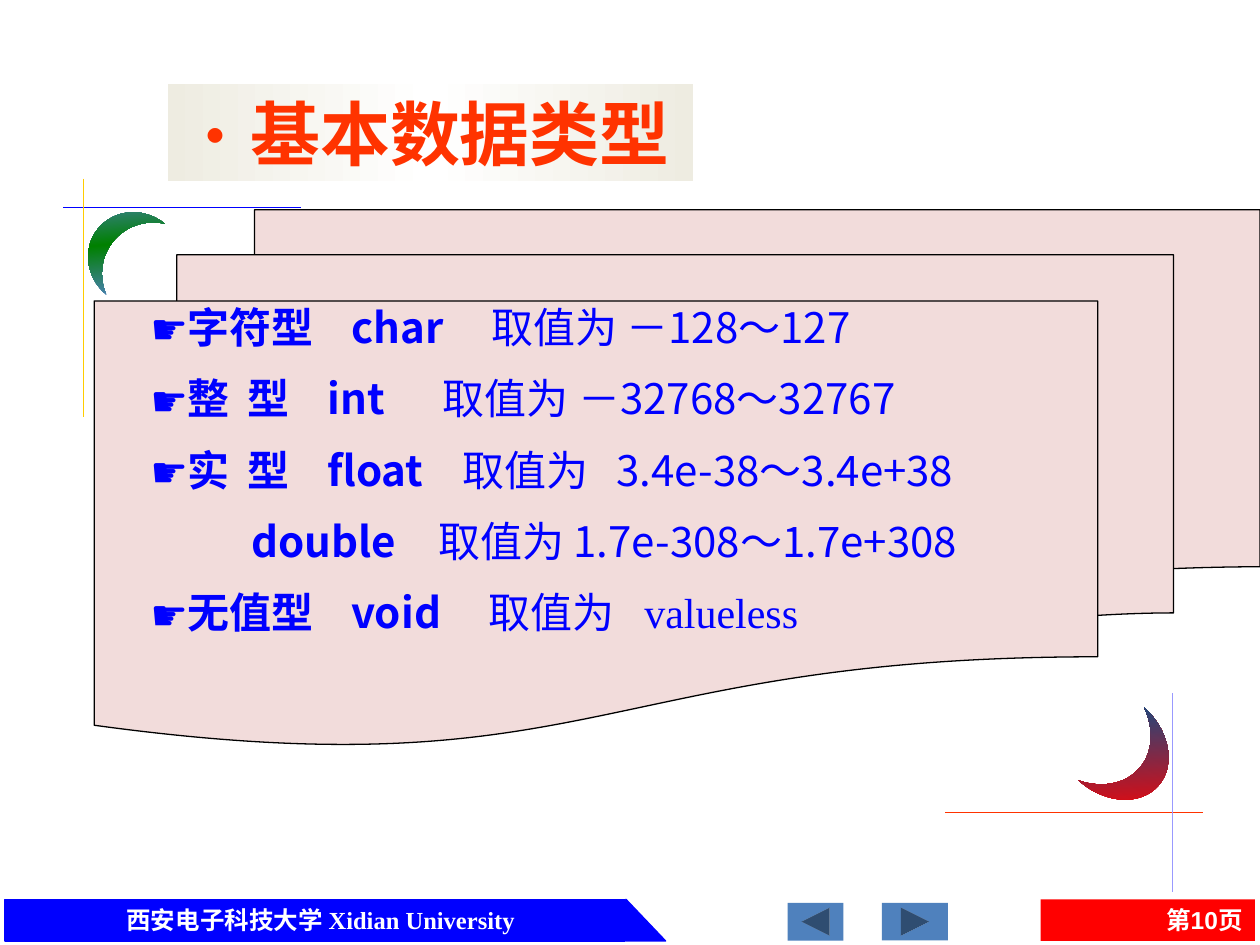
import lxml.etree
import pptx
import pptx.dml.color
import pptx.enum.shapes
import pptx.enum.text
import pptx.oxml.ns
import pptx.util

Cm = pptx.util.Cm
Pt = pptx.util.Pt
SHAPE = pptx.enum.shapes.MSO_SHAPE
ALIGN = pptx.enum.text.PP_ALIGN
ANCHOR = pptx.enum.text.MSO_ANCHOR
qn = pptx.oxml.ns.qn

SANS = "Noto Sans CJK SC"
SERIF = "Times New Roman"
BLUE = "0000FF"
LIST_FORMAT = {"size": Pt(24), "name": SANS, "bold": False}
FOOTER_FORMAT = {"size": Pt(14), "name": SERIF, "bold": True}
TITLE_FORMAT = {"size": Pt(40), "name": SERIF, "bold": True}

TYPE_ROWS = [
    ("☛", "字符型\tchar\t", "取值为 －128～127", "", 0, [4.05, 6.87]),
    ("☛", "整\t型\tint\t", "取值为 －32768～32767", "", 0, [1.96, 3.57, 5.9]),
    ("☛", "实\t型\tfloat\t", "取值为\t3.4e-38～3.4e+38", "", 0, [1.96, 3.57, 6.3, 9.4]),
    ("", "double　", "取值为 1.7e-308～1.7e+308", "", 2.04, []),
    ("☛", "无值型\tvoid\t", "取值为\t", "valueless", 0, [4.05, 6.81, 9.96]),
]


def color(value):
    return pptx.dml.color.RGBColor.from_string(value)


def add_child(parent, tag, **attributes):
    child = lxml.etree.SubElement(parent, qn(tag))
    for name, value in attributes.items():
        child.set(name, str(value))
    return child


def set_gradient(shape, stops, angle):
    shape.fill.gradient()
    gradient = shape.fill._xPr.find(qn("a:gradFill"))
    for child in list(gradient):
        gradient.remove(child)
    gradient.set("rotWithShape", "1")
    stop_list = add_child(gradient, "a:gsLst")
    for index, value in enumerate(stops):
        position = 100000 * index // (len(stops) - 1)
        stop = add_child(stop_list, "a:gs", pos=position)
        add_child(stop, "a:srgbClr", val=value)
    add_child(gradient, "a:lin", ang=angle * 60000, scaled=0)


def add_shape(slide, kind, left, top, width, height, fill=None, line=None):
    shape = slide.shapes.add_shape(kind, Cm(left), Cm(top), Cm(width), Cm(height))
    shape.shadow.inherit = False
    if fill:
        shape.fill.solid()
        shape.fill.fore_color.rgb = color(fill)
    if line:
        shape.line.color.rgb = color(line)
        shape.line.width = Pt(0.75)
    else:
        shape.line.fill.background()
    return shape


def add_line(slide, left, top, right, bottom, line, width):
    connector = slide.shapes.add_connector(
        pptx.enum.shapes.MSO_CONNECTOR.STRAIGHT, Cm(left), Cm(top), Cm(right), Cm(bottom))
    connector.line.color.rgb = color(line)
    connector.line.width = Pt(width)
    add_child(connector._element.spPr, "a:effectLst")


def add_run(paragraph, text, font_color, formats):
    run = paragraph.add_run()
    run.text = text
    for name, value in formats.items():
        setattr(run.font, name, value)
    run.font.color.rgb = color(font_color)
    add_child(run._r.get_or_add_rPr(), "a:ea", typeface=SANS)


def set_bullet(paragraph, bullet, margin=0, tabs=()):
    properties = paragraph._p.get_or_add_pPr()
    properties.set("marL", str(int(Cm(margin))))
    properties.set("indent", "0")
    if bullet:
        add_child(properties, "a:buFont", typeface=SANS)
        add_child(properties, "a:buChar", char=bullet)
    if tabs:
        tab_list = add_child(properties, "a:tabLst")
        for position in tabs:
            add_child(tab_list, "a:tab", pos=int(Cm(position)), algn="l")


def add_label(shape, text, align, formats):
    shape.text_frame.word_wrap = True
    shape.text_frame.vertical_anchor = ANCHOR.MIDDLE
    paragraph = shape.text_frame.paragraphs[0]
    paragraph.alignment = align
    add_run(paragraph, text, "FFFFFF", formats)


def build_footer(slide, left, top, height):
    add_shape(slide, SHAPE.RECTANGLE, left, top, 12.5, height, BLUE, BLUE)
    add_shape(slide, SHAPE.RIGHT_TRIANGLE, left + 12.52, top, 0.8, height, BLUE, BLUE)
    university = slide.shapes.add_textbox(Cm(left + 0.74), Cm(top), Cm(11.25), Cm(height))
    add_label(university, "西安电子科技大学 Xidian University", ALIGN.CENTER, FOOTER_FORMAT)
    page = add_shape(slide, SHAPE.RECTANGLE, left + 20.88, top, 4.32, height, "FF0000")
    add_label(page, "第10页", ALIGN.RIGHT, {**FOOTER_FORMAT, "name": "Arial"})
    for offset, width, rotation in [(17.68, 1.33, 0), (15.78, 1.12, 180)]:
        button = add_shape(slide, SHAPE.ACTION_BUTTON_FORWARD_OR_NEXT,
                           left + offset, top + 0.07, width, 0.76, "4F81BD")
        button.rotation = rotation


def build_type_list(slide, left, top, width, height):
    add_shape(slide, SHAPE.FLOWCHART_MULTIDOCUMENT, left, top, width, height, "F2DCDB", "000000")
    box = slide.shapes.add_textbox(Cm(left + 0.88), Cm(top + 1.72), Cm(19.68), Cm(7.37))
    frame = box.text_frame
    frame.word_wrap = True
    for index, (bullet, name, values, remark, margin, tabs) in enumerate(TYPE_ROWS):
        paragraph = frame.add_paragraph() if index else frame.paragraphs[0]
        set_bullet(paragraph, bullet, margin, tabs)
        if index:
            paragraph.space_before = Pt(12)
        add_run(paragraph, name, BLUE, {**LIST_FORMAT, "bold": True})
        add_run(paragraph, values, BLUE, LIST_FORMAT)
        if remark:
            add_run(paragraph, remark, BLUE, {**LIST_FORMAT, "name": SERIF})


def build_moon(slide, left, top, width, height, rotation, stops):
    moon = add_shape(slide, SHAPE.MOON, left, top, width, height)
    moon.adjustments[0] = 0.41
    moon.rotation = rotation
    set_gradient(moon, stops, 45)


def build_top_corner(slide, left, top, size):
    add_line(slide, left, top + 0.58, left + size, top + 0.58, BLUE, 0.25)
    add_line(slide, left + 0.4, top, left + 0.4, top + size, "FFCC00", 0.25)
    build_moon(slide, left + 0.6, top + 0.39, 0.97, 1.85, 39.4, ["4F81BD", "008000", "4F81BD"])


def build_bottom_corner(slide, left, top, width, height):
    build_moon(slide, left + 3.19, top + 0.46, 1.27, 1.98, 222, ["FF0000", "1F497D"])
    add_line(slide, left, top + 2.41, left + width, top + 2.41, "FF3300", 0.25)
    add_line(slide, left + 4.59, top, left + 4.59, top + height, "9999FF", 0.75)


def build_title(slide, left, top, width, height):
    title = slide.shapes.title
    geometry = {"left": left, "top": top, "width": width, "height": height}
    for name, value in geometry.items():
        setattr(title, name, Cm(value))
    set_gradient(title, ["EEECE1", "FFFFFF", "EEECE1"], 0)
    title.text_frame.auto_size = pptx.enum.text.MSO_AUTO_SIZE.NONE
    title.text_frame.vertical_anchor = ANCHOR.MIDDLE
    paragraph = title.text_frame.paragraphs[0]
    paragraph.alignment = ALIGN.LEFT
    set_bullet(paragraph, "•")
    add_run(paragraph, "基本数据类型", "FF3300", TITLE_FORMAT)


def main():
    presentation = pptx.Presentation()
    presentation.slide_width = Cm(25.4)
    presentation.slide_height = Cm(19.05)
    slide = presentation.slides.add_slide(presentation.slide_layouts.get_by_name("Title Only"))
    build_footer(slide, 0.1, 18.13, 0.84)
    build_type_list(slide, 1.9, 4.23, 23.5, 10.8)
    build_bottom_corner(slide, 19.05, 13.97, 5.21, 4.01)
    build_top_corner(slide, 1.27, 3.6, 4.8)
    build_title(slide, 3.38, 1.69, 10.59, 1.96)
    presentation.save("out.pptx")


if __name__ == "__main__":
    main()
